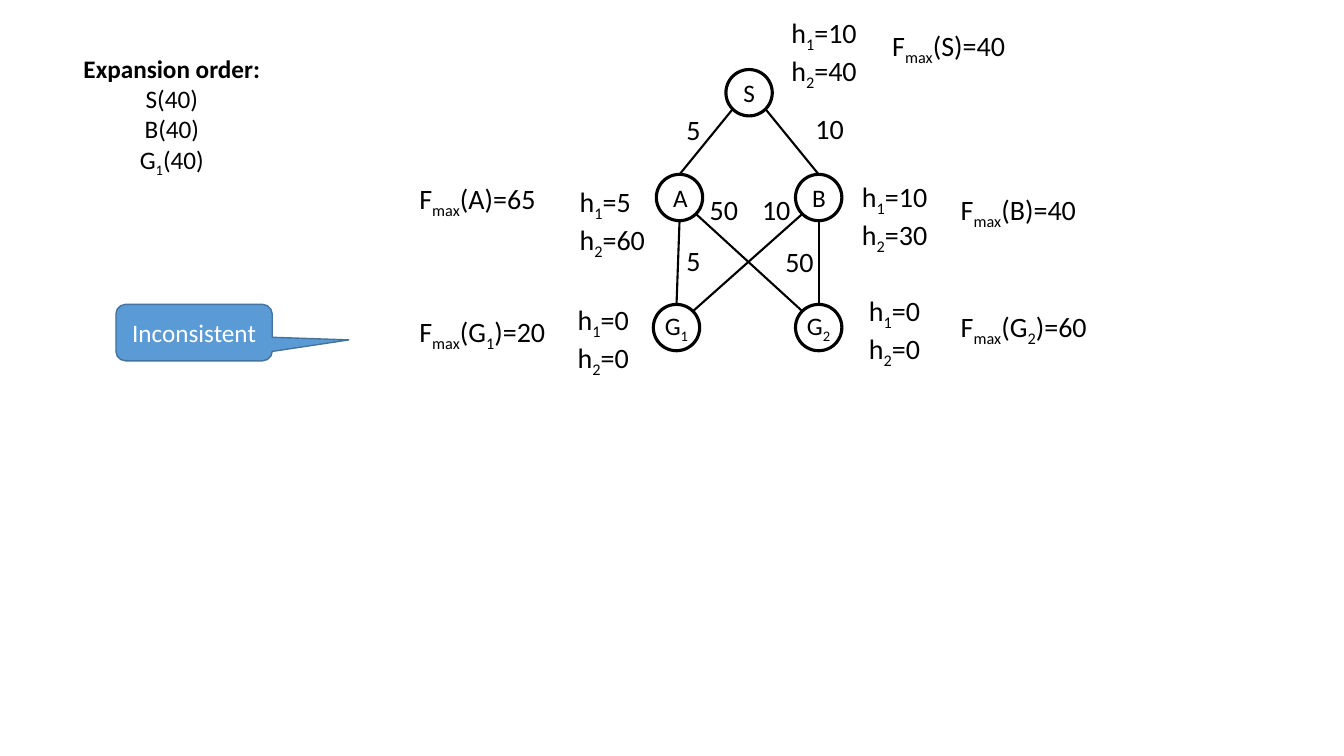
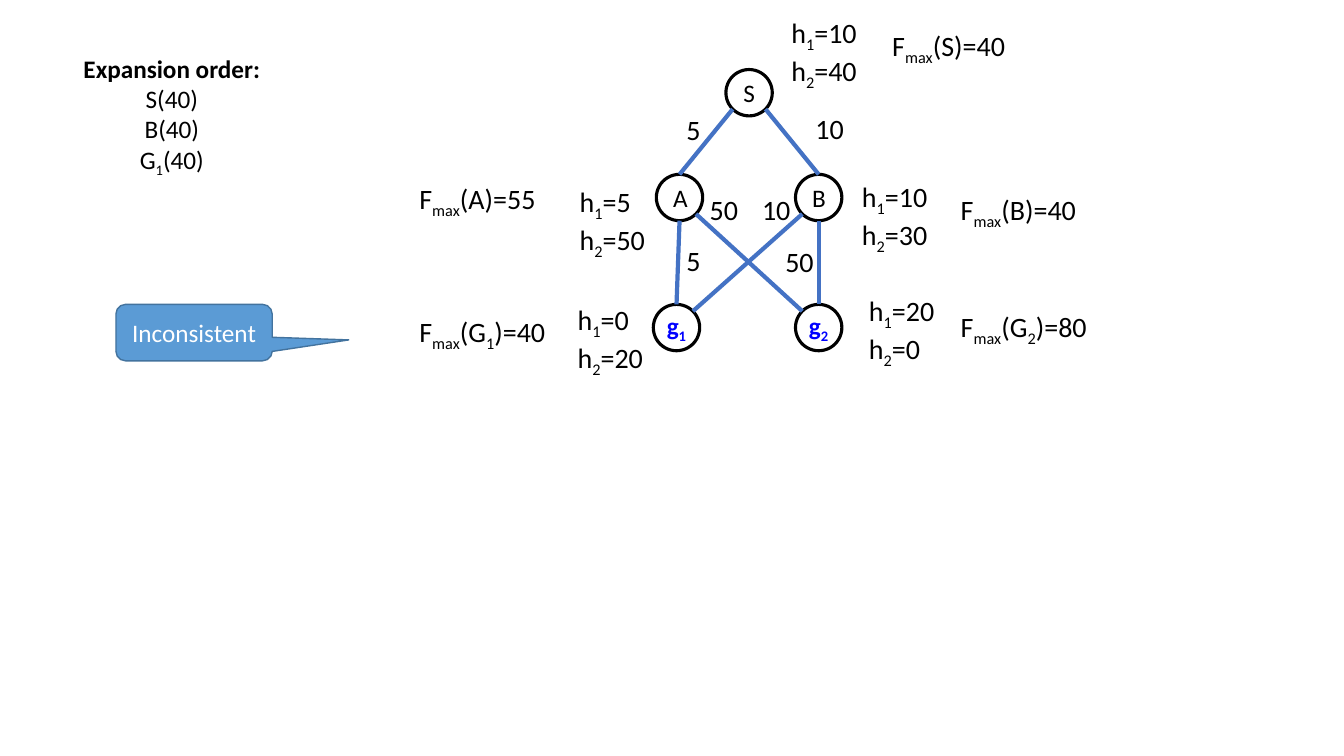
from lxml import etree
from pptx import Presentation
from pptx.dml.color import RGBColor
from pptx.enum.shapes import MSO_CONNECTOR, MSO_SHAPE
from pptx.enum.text import MSO_ANCHOR, MSO_AUTO_SIZE, PP_ALIGN
from pptx.oxml.ns import qn
from pptx.util import Inches, Pt

CENTER, LEFT = PP_ALIGN.CENTER, PP_ALIGN.LEFT
MIDDLE = MSO_ANCHOR.MIDDLE
GROW = MSO_AUTO_SIZE.SHAPE_TO_FIT_TEXT
OVAL = MSO_SHAPE.OVAL
CALLOUT = MSO_SHAPE.ROUNDED_RECTANGULAR_CALLOUT
STRAIGHT = MSO_CONNECTOR.STRAIGHT

FONT = "Calibri"
BLACK, WHITE, BLUE = "000000", "FFFFFF", "0000FF"
EDGE_BLUE, CALLOUT_FILL, CALLOUT_LINE = "4472C4", "5B9BD5", "43739E"

NODE_SIZE = 0.46
RADIUS = NODE_SIZE / 2
DIAGONAL = RADIUS * 0.71
SIDES = {
    "top": (0, -RADIUS), "bottom": (0, RADIUS),
    "top left": (-DIAGONAL, -DIAGONAL), "top right": (DIAGONAL, -DIAGONAL),
    "bottom left": (-DIAGONAL, DIAGONAL), "bottom right": (DIAGONAL, DIAGONAL),
}

NODES = {"S": (3.14, 0.59), "A": (2.45, 1.63), "B": (3.83, 1.63),
         "G~1~": (2.42, 2.92), "G~2~": (3.83, 2.92)}
EDGES = [
    ("S", "bottom left", "A", "top"),
    ("S", "bottom right", "B", "top"),
    ("B", "bottom", "G~2~", "top"),
    ("A", "bottom", "G~1~", "top"),
    ("A", "bottom right", "G~2~", "top left"),
    ("B", "bottom left", "G~1~", "top right"),
]
COSTS = [("5", 2.65, 0.97), ("10", 3.93, 0.96), ("50", 2.88, 1.76),
         ("10", 3.4, 1.76), ("50", 3.63, 2.28), ("5", 2.65, 2.27)]
H_PLACES = {"S": (3.69, 0), "A": (1.59, 1.68), "B": (4.39, 1.63),
            "G~1~": (1.57, 2.85), "G~2~": (4.46, 2.76)}
F_PLACES = {"S": (4.69, 0.13), "A": (0, 1.65), "B": (5.37, 1.76),
            "G~1~": (0, 2.97), "G~2~": (5.37, 2.92)}

SLIDES = [
    {"edge": (BLACK, 1.5), "goal": ("G", BLACK, False),
     "values": {"S": (10, 40, 40), "A": (5, 60, 65), "B": (10, 30, 40),
                "G~1~": (0, 0, 20), "G~2~": (0, 0, 60)}},
    {"edge": (EDGE_BLUE, 3), "goal": ("g", BLUE, True),
     "values": {"S": (10, 40, 40), "A": (5, 50, 55), "B": (10, 30, 40),
                "G~1~": (0, 20, 40), "G~2~": (20, 0, 80)}},
]


def rgb(value):
    """Turn a hex string into a colour."""
    return RGBColor.from_string(value)


def write(p, text, size, color=BLACK, bold=False, align=LEFT):
    """Fill a paragraph, lowering the parts between tildes."""
    p.alignment = align
    p.font.name, p.font.size, p.font.bold = FONT, Pt(size), bold
    p.font.color.rgb = rgb(color)
    for i, part in enumerate(text.split("~")):
        if part:
            r = p.add_run()
            r.text = part
            if i % 2:
                r._r.get_or_add_rPr().set("baseline", "-25000")


def add_label(s, x, y, w, lines, size=20):
    """Add a text box with one paragraph per line and return its frame."""
    height = 0.1 + 0.34 * len(lines)
    tf = s.shapes.add_textbox(Inches(x), Inches(y), Inches(w), Inches(height)).text_frame
    tf.word_wrap = True
    tf.auto_size = GROW
    for i, line in enumerate(lines):
        write(tf.add_paragraph() if i else tf.paragraphs[0], line, size)
    return tf


def add_shape(s, kind, box, fill, line, width, text, color, bold=False):
    """Add a filled preset shape with centred text."""
    sp = s.shapes.add_shape(kind, *map(Inches, box))
    sp.shadow.inherit = False
    sp.fill.solid()
    sp.fill.fore_color.rgb = rgb(fill)
    sp.line.color.rgb = rgb(line)
    sp.line.width = Pt(width)
    sp.text_frame.vertical_anchor = MIDDLE
    write(sp.text_frame.paragraphs[0], text, 18, color, bold, CENTER)
    return sp


def add_edge(s, start, end, color, width):
    """Draw a straight line between two points."""
    line = s.shapes.add_connector(STRAIGHT, *map(Inches, (*start, *end)))
    line.line.color.rgb = rgb(color)
    line.line.width = Pt(width)
    etree.SubElement(line._element.spPr, qn("a:effectLst"))
    return line


def add_graph(s, x, y, edge, goal, values):
    """Draw the search graph with its costs and estimates."""
    letter, goal_color, goal_bold = goal
    ovals = {}
    for name, (dx, dy) in NODES.items():
        is_goal = name.startswith("G")
        ovals[name] = add_shape(
            s, OVAL, (x + dx, y + dy, NODE_SIZE, NODE_SIZE), WHITE, BLACK, 2.25,
            name.replace("G", letter), goal_color if is_goal else BLACK,
            goal_bold and is_goal)
        ovals[name].text_frame.word_wrap = not is_goal

    def point(name, side):
        """Find a point on the rim of a node."""
        (dx, dy), (ox, oy) = NODES[name], SIDES[side]
        return x + dx + RADIUS + ox, y + dy + RADIUS + oy

    for first, leaving, second, entering in EDGES:
        line = add_edge(s, point(first, leaving), point(second, entering), *edge)
        if entering == "top":
            line.end_connect(ovals[second], 0)
    for cost, dx, dy in COSTS:
        add_label(s, x + dx, y + dy, 0.3 if len(cost) == 1 else 0.6, [cost])
    for name, (h1, h2, f) in values.items():
        hx, hy = H_PLACES[name]
        fx, fy = F_PLACES[name]
        add_label(s, x + hx, y + hy, 1.08, [f"h~1~={h1}", f"h~2~={h2}"])
        add_label(s, x + fx, y + fy, 2.11, [f"F~max~({name})={f}"])


def add_callout(s, x, y):
    """Add the callout that points at the estimates on its right."""
    sp = add_shape(s, CALLOUT, (x, y, 1.55, 0.56), CALLOUT_FILL, CALLOUT_LINE, 1,
                   "Inconsistent", WHITE)
    for i, value in enumerate((0.99, 0.13, 0.17)):
        sp.adjustments[i] = value


def add_expansion_order(s, x, y):
    """List the nodes in the order of expansion under a bold heading."""
    tf = add_label(s, x, y, 1.97, ["Expansion order:", "S(40)", "B(40)", "G~1~(40)"], 18)
    tf.word_wrap = False
    tf.paragraphs[0].font.bold = True
    for p in tf.paragraphs[1:]:
        p.alignment = CENTER


def main():
    """Build the slides and save them."""
    prs = Presentation()
    prs.slide_width, prs.slide_height = Inches(13.33), Inches(7.5)
    for content in SLIDES:
        s = prs.slides.add_slide(prs.slide_layouts[6])
        add_graph(s, 4.06, 0.1, **content)
        add_callout(s, 1.15, 3.02)
        add_expansion_order(s, 0.73, 0.48)
    prs.save("out.pptx")


if __name__ == "__main__":
    main()
